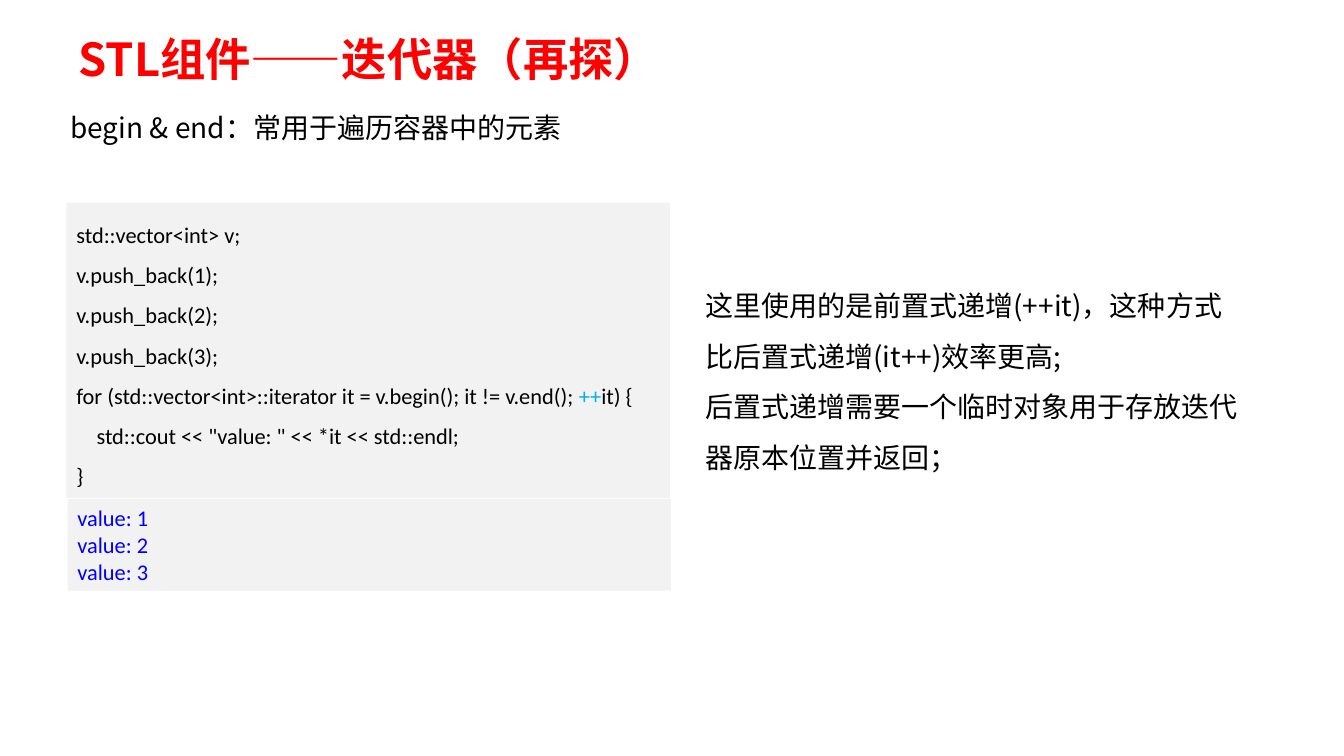
from lxml import etree
from pptx import Presentation, util as u
from pptx.dml.color import RGBColor
from pptx.enum import shapes, text
from pptx.oxml.ns import qn

CJK = "Noto Sans CJK SC"


def rgb(value):
    return RGBColor.from_string(value)


def add_text(box, lines, size, font, color, spacing=1.0):
    tf = box.text_frame
    tf.word_wrap = True
    tf.vertical_anchor = text.MSO_ANCHOR.TOP
    tf.auto_size = text.MSO_AUTO_SIZE.SHAPE_TO_FIT_TEXT
    for i, line in enumerate(lines):
        p = tf.add_paragraph() if i else tf.paragraphs[0]
        p.alignment = text.PP_ALIGN.LEFT
        p.line_spacing = spacing
        p.font.size = u.Pt(size)
        p.font.name = font
        p.font.color.rgb = rgb(color)
        latin = p.font._element.find(qn("a:latin"))
        ea = etree.Element(qn("a:ea"), typeface=font)
        latin.addnext(ea)
        before, mark, after = line.partition(" ++")
        if mark and after == "it) {":
            p.add_run().text = before + " "
            r = p.add_run()
            r.text = "++"
            r.font.color.rgb = rgb("00B0F0")
            p.add_run().text = after
        else:
            p.add_run().text = line
    return tf


prs = Presentation()
prs.slide_width = u.Inches(13.34)
prs.slide_height = u.Inches(7.5)
s = prs.slides.add_slide(prs.slide_layouts[6])

title = s.shapes.add_textbox(u.Inches(0.65), u.Inches(0.28), u.Inches(12.13), u.Inches(0.59))
tf = add_text(title, ["STL组件——迭代器（再探）"], 32.4, CJK, "FF0000")
tf.auto_size = text.MSO_AUTO_SIZE.NONE
tf.vertical_anchor = text.MSO_ANCHOR.MIDDLE
tf.margin_left = tf.margin_right = u.Inches(0.13)
tf.margin_top = tf.margin_bottom = u.Inches(0.07)
tf.paragraphs[0].font.bold = True

notes = [
    (0.6, 0.88, 7.01, 0.61, ["begin & end：常用于遍历容器中的元素"]),
    (6.9, 2.65, 5.55, 2.12, [
        "这里使用的是前置式递增(++it)，这种方式比后置式递增(it++)效率更高;",
        "后置式递增需要一个临时对象用于存放迭代器原本位置并返回；",
    ]),
]
for x, y, w, h, lines in notes:
    box = s.shapes.add_textbox(u.Inches(x), u.Inches(y), u.Inches(w), u.Inches(h))
    add_text(box, lines, 20, CJK, "000000", 1.5)

code = [
    "std::vector<int> v;",
    "v.push_back(1);",
    "v.push_back(2);",
    "v.push_back(3);",
    "for (std::vector<int>::iterator it = v.begin(); it != v.end(); ++it) {",
    '    std::cout << "value: " << *it << std::endl;',
    "}",
]
output = [f"value: {n}" for n in (1, 2, 3)]
panels = [
    (0.66, 2.01, 2.93, code, "000000", 1.5),
    (0.67, 4.95, 0.91, output, "0000FF", 1.0),
]
for x, y, h, lines, color, spacing in panels:
    sp = s.shapes.add_shape(shapes.MSO_SHAPE.RECTANGLE, u.Inches(x), u.Inches(y), u.Inches(5.99), u.Inches(h))
    sp.shadow.inherit = False
    sp.fill.solid()
    sp.fill.fore_color.rgb = rgb("F2F2F2")
    sp.line.fill.background()
    add_text(sp, lines, 16, "Calibri", color, spacing)

prs.save("out.pptx")
